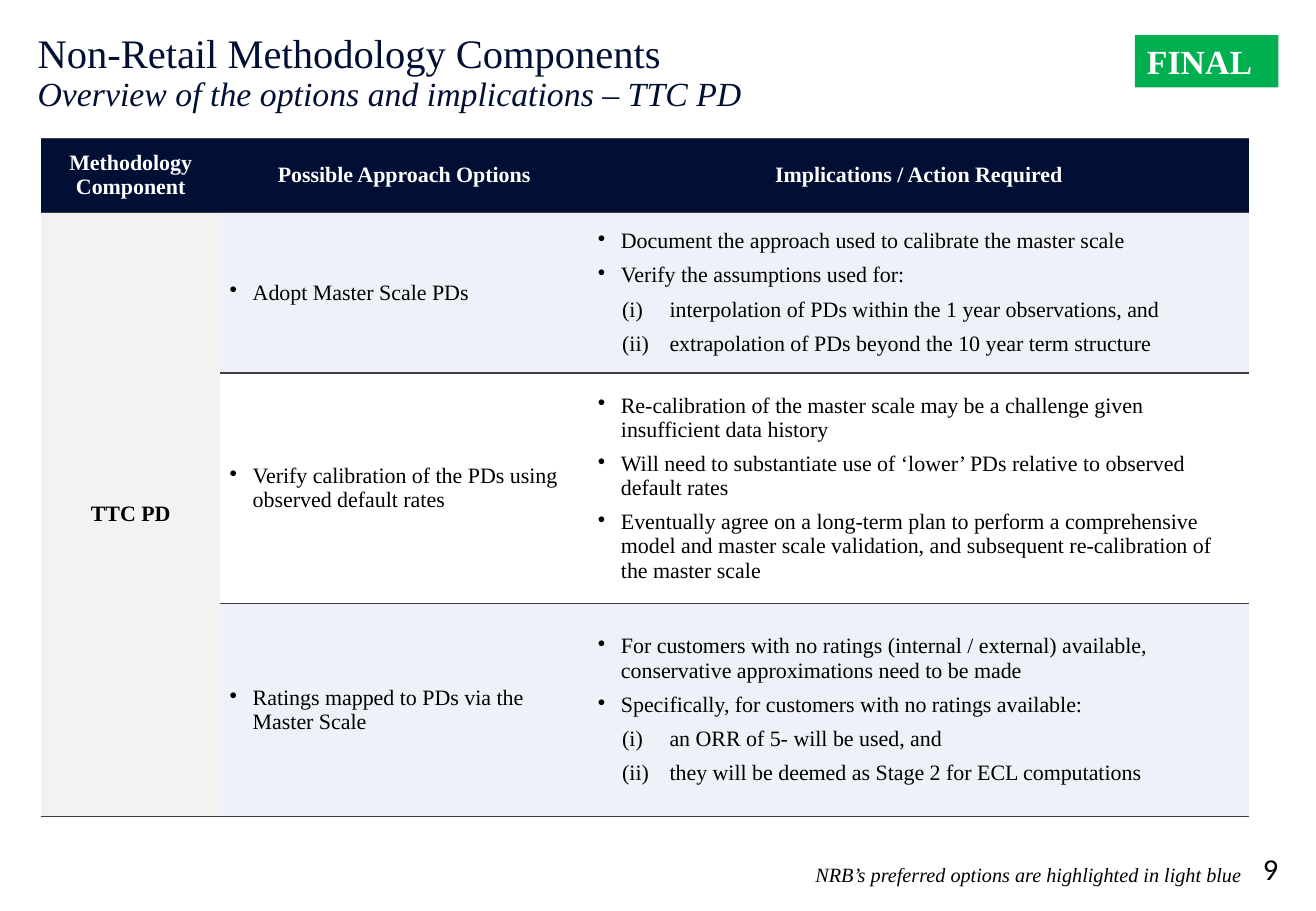
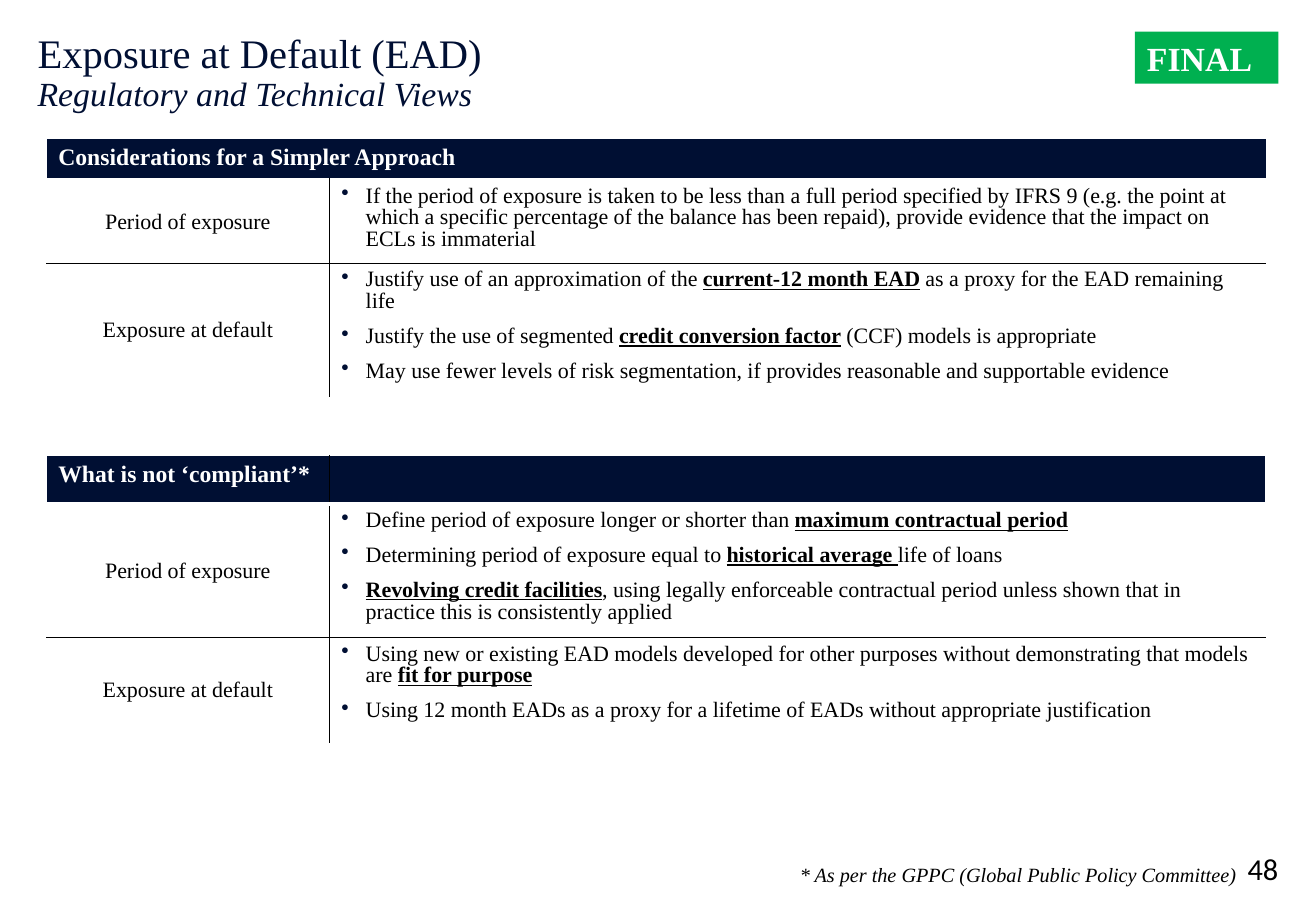
"""Build two methodology slides with shared title, stamp, footnote and table styling."""
import lxml.etree
import pptx
import pptx.dml.color
import pptx.enum.shapes
import pptx.enum.text
import pptx.oxml.ns
import pptx.util

Inches = pptx.util.Inches
Pt = pptx.util.Pt
RGBColor = pptx.dml.color.RGBColor
ALIGN = pptx.enum.text.PP_ALIGN
ANCHOR = pptx.enum.text.MSO_ANCHOR
qn = pptx.oxml.ns.qn

NAVY = RGBColor(0x00, 0x0F, 0x33)
GREEN = RGBColor(0x00, 0xB0, 0x50)
PALE_BLUE = RGBColor(0xEE, 0xF1, 0xF8)
PALE_GREY = RGBColor(0xF2, 0xF2, 0xF2)
DARK_GREY = RGBColor(0x40, 0x40, 0x40)
WHITE = RGBColor(0xFF, 0xFF, 0xFF)
BLACK = RGBColor(0x00, 0x00, 0x00)

SERIF = "Times New Roman"
NO_GRID_STYLE = "{2D5ABB26-0587-4C30-8999-92F81FD0307C}"
ROMAN = "roman:"
EMPHASIS = "_"

OPTIONS_HEADINGS = ["Methodology Component", "Possible Approach Options", "Implications / Action Required"]
OPTIONS = [
    ("Adopt Master Scale PDs", PALE_BLUE, [
        "Document the approach used to calibrate the master scale",
        "Verify the assumptions used for:",
        ROMAN + "interpolation of PDs within the 1 year observations, and",
        ROMAN + "extrapolation of PDs beyond the 10 year term structure"]),
    ("Verify calibration of the PDs using observed default rates", WHITE, [
        "Re-calibration of the master scale may be a challenge given insufficient data history",
        "Will need to substantiate use of ‘lower’ PDs relative to observed default rates",
        "Eventually agree on a long-term plan to perform a comprehensive model and master scale "
        "validation, and subsequent re-calibration of the master scale"]),
    ("Ratings mapped to PDs via the Master Scale", PALE_BLUE, [
        "For customers with no ratings (internal / external) available, conservative "
        "approximations need to be made",
        "Specifically, for customers with no ratings available:",
        ROMAN + "an ORR of 5- will be used, and",
        ROMAN + "they will be deemed as Stage 2 for ECL computations"]),
]
SIMPLER_VIEWS = [
    ("Period of exposure", [
        "If the period of exposure is taken to be less than a full period specified by IFRS 9 "
        "(e.g. the point at which a specific percentage of the balance has been repaid), provide "
        "evidence that the impact on ECLs is immaterial"]),
    ("Exposure at default", [
        "Justify use of an approximation of the _current-12 month EAD_ as a proxy for the EAD "
        "remaining life",
        "Justify the use of segmented _credit conversion factor_ (CCF) models is appropriate",
        "May use fewer levels of risk segmentation, if provides reasonable and supportable evidence"]),
]
NON_COMPLIANT_VIEWS = [
    ("Period of exposure", [
        "Define period of exposure longer or shorter than _maximum contractual period_",
        "Determining period of exposure equal to _historical average _life of loans",
        "_Revolving credit facilities_, using legally enforceable contractual period unless shown "
        "that in practice this is consistently applied"]),
    ("Exposure at default", [
        "Using new or existing EAD models developed for other purposes without demonstrating that "
        "models are _fit for purpose_",
        "Using 12 month EADs as a proxy for a lifetime of EADs without appropriate justification"]),
]


def add_span(para, text, size=13, color=BLACK, font=SERIF, bold=False, italic=False, underline=False):
    """Append one formatted span to a paragraph."""
    span = para.add_run()
    span.text = text
    span.font.size = Pt(size)
    span.font.name = font
    span.font.color.rgb = color
    span.font.bold = bold
    span.font.italic = italic
    span.font.underline = underline


def add_marker(para, kind, left, hanging, color=None, **attributes):
    """Give a paragraph a hanging bullet or number."""
    properties = para._p.get_or_add_pPr()
    properties.set("marL", str(Inches(left)))
    properties.set("indent", str(-Inches(hanging)))
    if color is not None:
        holder = lxml.etree.SubElement(properties, qn("a:buClr"))
        lxml.etree.SubElement(holder, qn("a:srgbClr"), val=str(color))
    lxml.etree.SubElement(properties, qn(kind), **attributes)


def write_list(frame, items, indent=0.19, gap=6, line_spacing=None, marker_color=None):
    """Write bulleted items, with roman numbers and emphasis where marked."""
    for index, item in enumerate(items):
        para = frame.add_paragraph() if index else frame.paragraphs[0]
        if item.startswith(ROMAN):
            add_marker(para, "a:buAutoNum", 0.59, 0.39, type="romanLcParenBoth")
        else:
            add_marker(para, "a:buChar", indent, indent, marker_color, char="•")
        if index:
            para.space_before = Pt(gap)
        if line_spacing:
            para.line_spacing = line_spacing
        for part, text in enumerate(item.removeprefix(ROMAN).split(EMPHASIS)):
            if text:
                add_span(para, text, bold=part % 2 == 1, underline=part % 2 == 1)


def write_line(frame, text, align=ALIGN.LEFT, **style):
    """Write a single aligned line into an empty frame."""
    para = frame.paragraphs[0]
    para.alignment = align
    add_span(para, text, **style)


def add_text_box(page, left, top, width, height, margin=None, anchor=ANCHOR.TOP):
    """Add a wrapping text box and return its frame."""
    box = page.shapes.add_textbox(Inches(left), Inches(top), Inches(width), Inches(height))
    frame = box.text_frame
    frame.word_wrap = True
    frame.vertical_anchor = anchor
    if margin is not None:
        frame.margin_left = frame.margin_top = frame.margin_right = frame.margin_bottom = Inches(margin)
    return frame


def add_table(page, left, top, columns, rows):
    """Add a plain table with the given column widths and row heights."""
    frame = page.shapes.add_table(len(rows), len(columns), Inches(left), Inches(top),
                                  Inches(sum(columns)), Inches(sum(rows)))
    table = frame.table
    table.first_row = table.horz_banding = False
    table._tbl.tblPr.find(qn("a:tableStyleId")).text = NO_GRID_STYLE
    for column, width in zip(table.columns, columns):
        column.width = Inches(width)
    for row, height in zip(table.rows, rows):
        row.height = Inches(height)
    return table


def style_cell(cell, fill, borders, anchor=ANCHOR.MIDDLE, margins=(0.1, 0.05)):
    """Set borders, fill, anchor and margins; borders map L, R, T, B to colour and width."""
    properties = cell._tc.get_or_add_tcPr()
    for side in "LRTB":
        if side in borders:
            color, width = borders[side]
            line = lxml.etree.SubElement(properties, qn("a:ln" + side), w=str(Pt(width)))
            solid = lxml.etree.SubElement(line, qn("a:solidFill"))
            lxml.etree.SubElement(solid, qn("a:srgbClr"), val=str(color))
    cell.fill.solid()
    cell.fill.fore_color.rgb = fill
    cell.vertical_anchor = anchor
    cell.margin_left = cell.margin_right = Inches(margins[0])
    cell.margin_top = cell.margin_bottom = Inches(margins[1])


def add_page(deck, title, subtitle, number, footnote, stamp_top):
    """Add a page with its title, status stamp, footnote and number."""
    page = deck.slides.add_slide(deck.slide_layouts[6])
    heading = add_text_box(page, 0.31, 0.28, 8.8, 0.8, margin=0).paragraphs[0]
    heading.line_spacing = 0.9
    add_span(heading, title, size=24, color=NAVY)
    heading.add_line_break()
    add_span(heading, subtitle, size=20, color=NAVY, italic=True)

    stamp = page.shapes.add_shape(pptx.enum.shapes.MSO_SHAPE.RECTANGLE,
                                  Inches(9.34), Inches(stamp_top), Inches(1.18), Inches(0.43))
    stamp.shadow.inherit = False
    stamp.fill.solid()
    stamp.fill.fore_color.rgb = GREEN
    stamp.line.fill.background()
    stamp.text_frame.vertical_anchor = ANCHOR.TOP
    write_line(stamp.text_frame, "FINAL", size=20, color=WHITE, bold=True)

    write_line(add_text_box(page, 2.96, 7.05, 7.36, 0.31), footnote, ALIGN.RIGHT, size=12, italic=True)
    write_line(add_text_box(page, 10.04, 6.99, 0.48, 0.31, margin=0, anchor=ANCHOR.BOTTOM),
               number, ALIGN.RIGHT, size=18, font="Calibri")
    return page


def add_options_table(page, left, top):
    """Add the table of approach options and their implications."""
    table = add_table(page, left, top, [1.47, 3.03, 5.44], [0.61, 1.32, 1.9, 1.75])
    rule = (DARK_GREY, 1)
    rules = {"T": rule, "B": rule}
    margins = (0.08, 0)
    for column, heading in enumerate(OPTIONS_HEADINGS):
        cell = table.cell(0, column)
        style_cell(cell, NAVY, rules, margins=margins)
        write_line(cell.text_frame, heading, ALIGN.CENTER, color=WHITE, bold=True)

    component = table.cell(1, 0)
    component.merge(table.cell(len(OPTIONS), 0))
    style_cell(component, PALE_GREY, rules, margins=margins)
    style_cell(table.cell(len(OPTIONS), 0), PALE_GREY, {"B": rule}, margins=margins)
    write_line(component.text_frame, "TTC PD", ALIGN.CENTER, bold=True)

    for row, (option, fill, implications) in enumerate(OPTIONS, start=1):
        for column, items in enumerate([[option], implications], start=1):
            cell = table.cell(row, column)
            style_cell(cell, fill, rules, margins=margins)
            write_list(cell.text_frame, items)


def add_views_table(page, left, top, heading, views, heights, split_heading):
    """Add a headed two-column table of topics and their points."""
    table = add_table(page, left, top, [2.33, 7.71], [0.34] + heights)
    rule, edge = (BLACK, 1), (WHITE, 1)
    header, header_end = table.cell(0, 0), table.cell(0, 1)
    header_edges = {"T": edge, "B": (WHITE, 3)}
    divider = {"R": rule} if split_heading else {}
    style_cell(header, NAVY, header_edges | {"L": edge} | divider, ANCHOR.TOP)
    style_cell(header_end, NAVY, header_edges | {"R": edge}, ANCHOR.TOP)
    if not split_heading:
        header.merge(header_end)
    write_line(header.text_frame, heading, size=14, color=WHITE, bold=True)

    for row, (topic, points) in enumerate(views, start=1):
        across = {"B": rule} if row < len(views) else {}
        topic_cell, points_cell = table.cell(row, 0), table.cell(row, 1)
        style_cell(topic_cell, WHITE, across | {"R": rule})
        write_line(topic_cell.text_frame, topic, ALIGN.CENTER)
        style_cell(points_cell, WHITE, across | {"L": rule}, ANCHOR.TOP)
        write_list(points_cell.text_frame, points, indent=0.2, gap=7.8,
                   line_spacing=0.9, marker_color=NAVY)


def main():
    """Build and save the deck."""
    deck = pptx.Presentation()
    deck.slide_width, deck.slide_height = Inches(10.83), Inches(7.5)

    page = add_page(deck, "Non-Retail Methodology Components",
                    "Overview of the options and implications – TTC PD", "9",
                    "NRB’s preferred options are highlighted in light blue", 0.29)
    add_options_table(page, 0.34, 1.14)

    page = add_page(deck, "Exposure at Default (EAD)", "Regulatory and Technical Views", "48",
                    "* As per the GPPC (Global Public Policy Committee) ", 0.26)
    add_views_table(page, 0.38, 1.14, "Considerations for a Simpler Approach",
                    SIMPLER_VIEWS, [0.69, 1.1], split_heading=False)
    add_views_table(page, 0.38, 3.75, "What is not ‘compliant’*",
                    NON_COMPLIANT_VIEWS, [1.1, 0.87], split_heading=True)
    deck.save("out.pptx")


if __name__ == "__main__":
    main()
